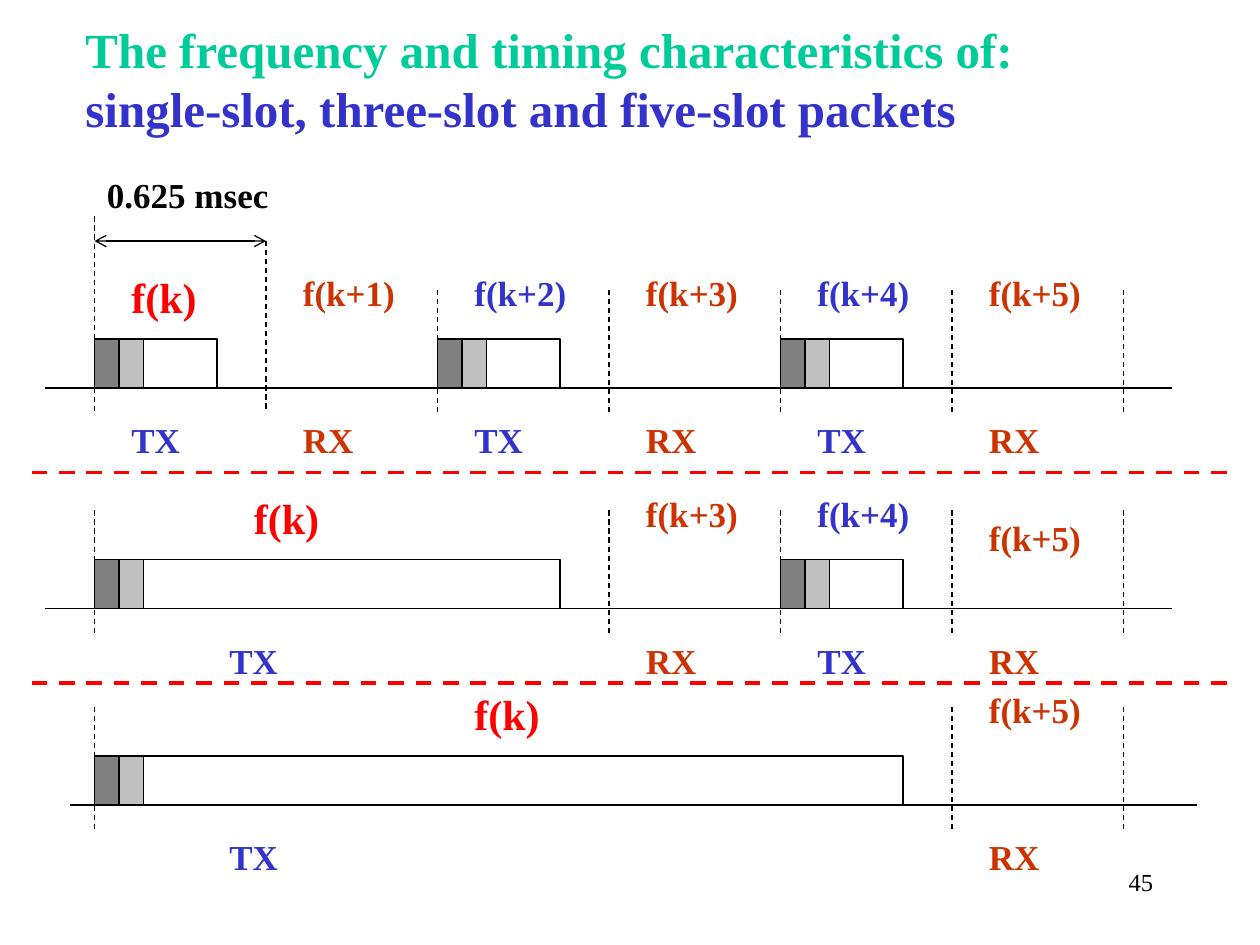
from lxml import etree
from pptx import Presentation
from pptx.dml.color import RGBColor
from pptx.enum.dml import MSO_LINE
from pptx.enum.shapes import MSO_CONNECTOR, MSO_SHAPE
from pptx.enum.text import MSO_ANCHOR, PP_ALIGN
from pptx.oxml.ns import qn
from pptx.util import Inches, Pt

RECT = MSO_SHAPE.RECTANGLE
STRAIGHT = MSO_CONNECTOR.STRAIGHT
DASH = MSO_LINE.DASH
TOP, MIDDLE = MSO_ANCHOR.TOP, MSO_ANCHOR.MIDDLE
LEFT, RIGHT = PP_ALIGN.LEFT, PP_ALIGN.RIGHT

BLACK = RGBColor(0x00, 0x00, 0x00)
WHITE = RGBColor(0xFF, 0xFF, 0xFF)
DARK = RGBColor(0x80, 0x80, 0x80)
LIGHT = RGBColor(0xC0, 0xC0, 0xC0)
RED = RGBColor(0xFF, 0x00, 0x00)
RUST = RGBColor(0xCC, 0x33, 0x00)
BLUE = RGBColor(0x33, 0x33, 0xCC)
GREEN = RGBColor(0x00, 0xCC, 0x99)

FONT = "Times New Roman"
UNIT = 7 / 36
SLOT = 7 * UNIT
START = 0.75


def add_text(slide, box, *runs, size=20, bold=True, align=LEFT, anchor=TOP, fill=None):
    """Place one paragraph of (text, colour) runs in a box."""
    shape = slide.shapes.add_textbox(*map(Inches, box))
    if fill is not None:
        shape.fill.solid()
        shape.fill.fore_color.rgb = fill
    frame = shape.text_frame
    frame.word_wrap = True
    frame.vertical_anchor = anchor
    para = frame.paragraphs[0]
    para.alignment = align
    for text, color in runs:
        run = para.add_run()
        run.text = text
        run.font.name = FONT
        run.font.size = Pt(size)
        run.font.bold = bold
        run.font.color.rgb = color


def add_bar(slide, box, fill, width):
    """Draw a black-edged rectangle."""
    bar = slide.shapes.add_shape(RECT, *map(Inches, box))
    bar.shadow.inherit = False
    bar.fill.solid()
    bar.fill.fore_color.rgb = fill
    bar.line.color.rgb = BLACK
    bar.line.width = Pt(width)


def add_line(slide, ends, color=BLACK, width=0.75, dash=None, arrows=False):
    """Draw a straight line between two points."""
    line = slide.shapes.add_connector(STRAIGHT, *map(Inches, ends))
    line.line.color.rgb = color
    line.line.width = Pt(width)
    if dash is not None:
        line.line.dash_style = dash
    if arrows:
        for tag in ("a:headEnd", "a:tailEnd"):
            etree.SubElement(line.line._get_or_add_ln(), qn(tag), type="arrow")
    etree.SubElement(line._element.spPr, qn("a:effectLst"))


def add_packet(slide, x, y, units):
    """Draw a packet with its two header fields."""
    high = 2 * UNIT
    add_bar(slide, (x, y, units * UNIT, high), WHITE, 1)
    for i, fill in enumerate((DARK, LIGHT)):
        add_bar(slide, (x + i * UNIT, y, UNIT, high), fill, 0.75)


def add_row(slide, x, y, packets, ticks, names, modes, shift=2):
    """Draw one timeline whose packets have their top left at x, y."""
    for slot, units in packets:
        add_packet(slide, x + slot * SLOT, y, units)
    axis = y + 2 * UNIT
    left = x - shift * UNIT
    add_line(slide, (left, axis, left + 46 * UNIT, axis))
    for slot, rise in ticks:
        at = x + slot * SLOT
        add_line(slide, (at, y - rise * UNIT, at, y + 3 * UNIT), dash=DASH)
    for text, col, rise in names:
        first = text == "f(k)"
        color = RED if first else BLUE if text in ("f(k+2)", "f(k+4)") else RUST
        box = (x + col * UNIT, y - rise * UNIT, (4 if first else 5) * UNIT, 2 * UNIT)
        add_text(slide, box, (text, color), size=24 if first else 20, fill=WHITE)
    for text, col in modes:
        box = (x + col * UNIT, y + 3 * UNIT, 4 * UNIT, 2 * UNIT)
        add_text(slide, box, (text, BLUE if text == "TX" else RUST), fill=WHITE)


def add_span(slide, x, y):
    """Mark the length of one slot with a caption and a double arrow."""
    add_text(slide, (x, y, 8 * UNIT, 2 * UNIT), ("0.625 msec", BLACK), fill=WHITE)
    add_line(slide, (x, y + 3 * UNIT, x + SLOT, y + 3 * UNIT), arrows=True)


def main():
    """Build the slide and save it."""
    deck = Presentation()
    deck.slide_width, deck.slide_height = Inches(10), Inches(7.5)
    slide = deck.slides.add_slide(deck.slide_layouts[6])
    add_text(slide, (0.58, 0, 8.58, 1.25),
             ("The frequency and timing characteristics of: ", GREEN),
             ("single-slot, three-slot and five-slot packets", BLUE),
             size=28, anchor=MIDDLE)

    add_row(slide, START, 2.69,
            packets=[(slot, 5) for slot in (0, 2, 4)],
            ticks=[(0, 5), (1, 4)] + [(slot, 2) for slot in range(2, 7)],
            names=[(f"f(k+{i})" if i else "f(k)", 7 * i + 1, 3) for i in range(6)],
            modes=[("RX" if i % 2 else "TX", 7 * i + 1) for i in range(6)])
    add_span(slide, START, 1.33)
    add_row(slide, START, 4.44,
            packets=[(0, 19), (4, 5)],
            ticks=[(slot, 2) for slot in (0, 3, 4, 5, 6)],
            names=[("f(k)", 6, 3), ("f(k+3)", 22, 3), ("f(k+4)", 29, 3), ("f(k+5)", 36, 2)],
            modes=[("TX", 5), ("RX", 22), ("TX", 29), ("RX", 36)])
    add_row(slide, START, 6,
            packets=[(0, 33)],
            ticks=[(slot, 2) for slot in (0, 5, 6)],
            names=[("f(k)", 15, 3), ("f(k+5)", 36, 3)],
            modes=[("TX", 5), ("RX", 36)], shift=1)

    for y in (3.75, 5.42):
        add_line(slide, (0.25, y, 9.75, y), RED, 2.25, DASH)
    add_text(slide, (7.17, 6.83, 2.08, 0.5), ("45", BLACK),
             size=14, bold=False, align=RIGHT)
    deck.save("out.pptx")


if __name__ == "__main__":
    main()
